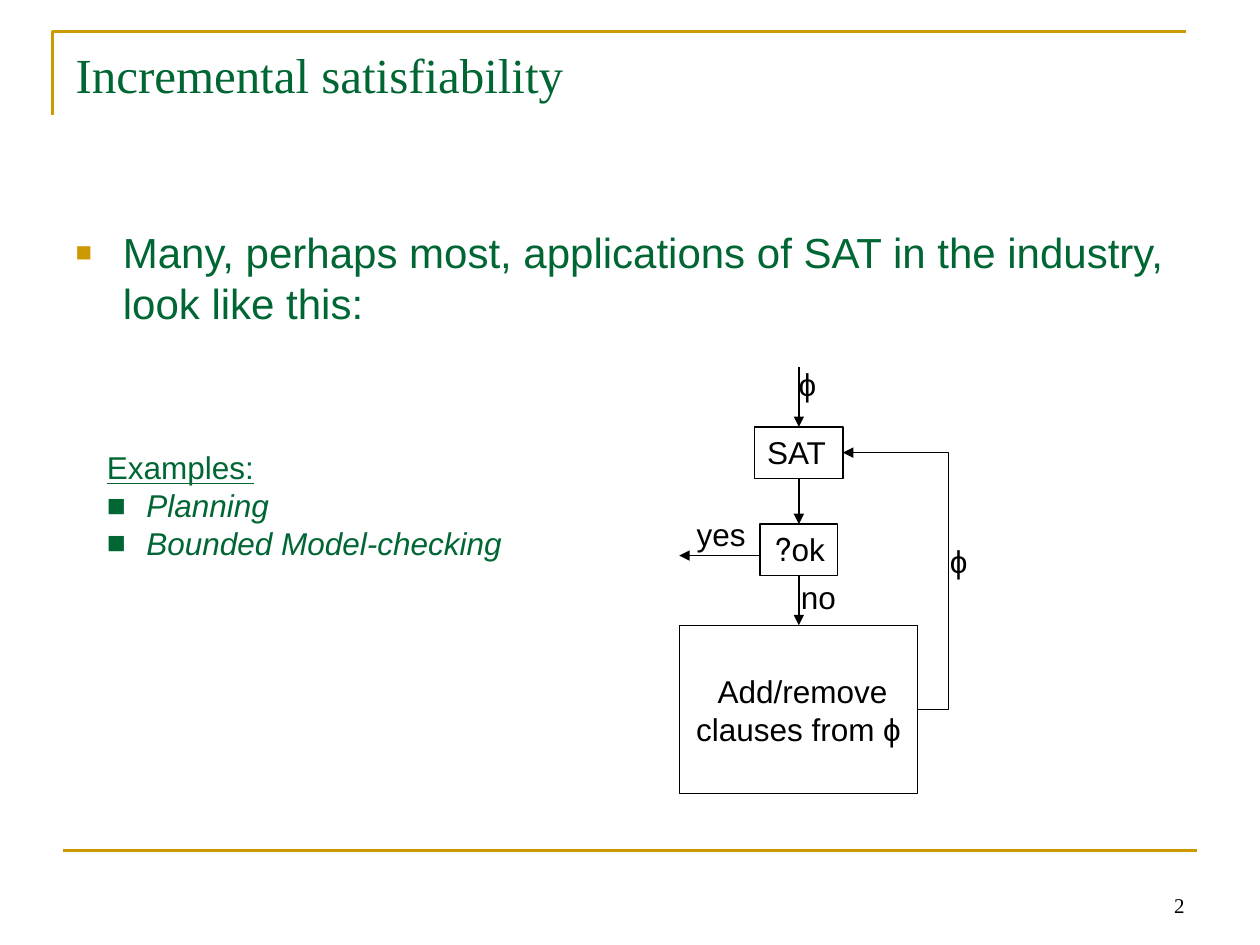
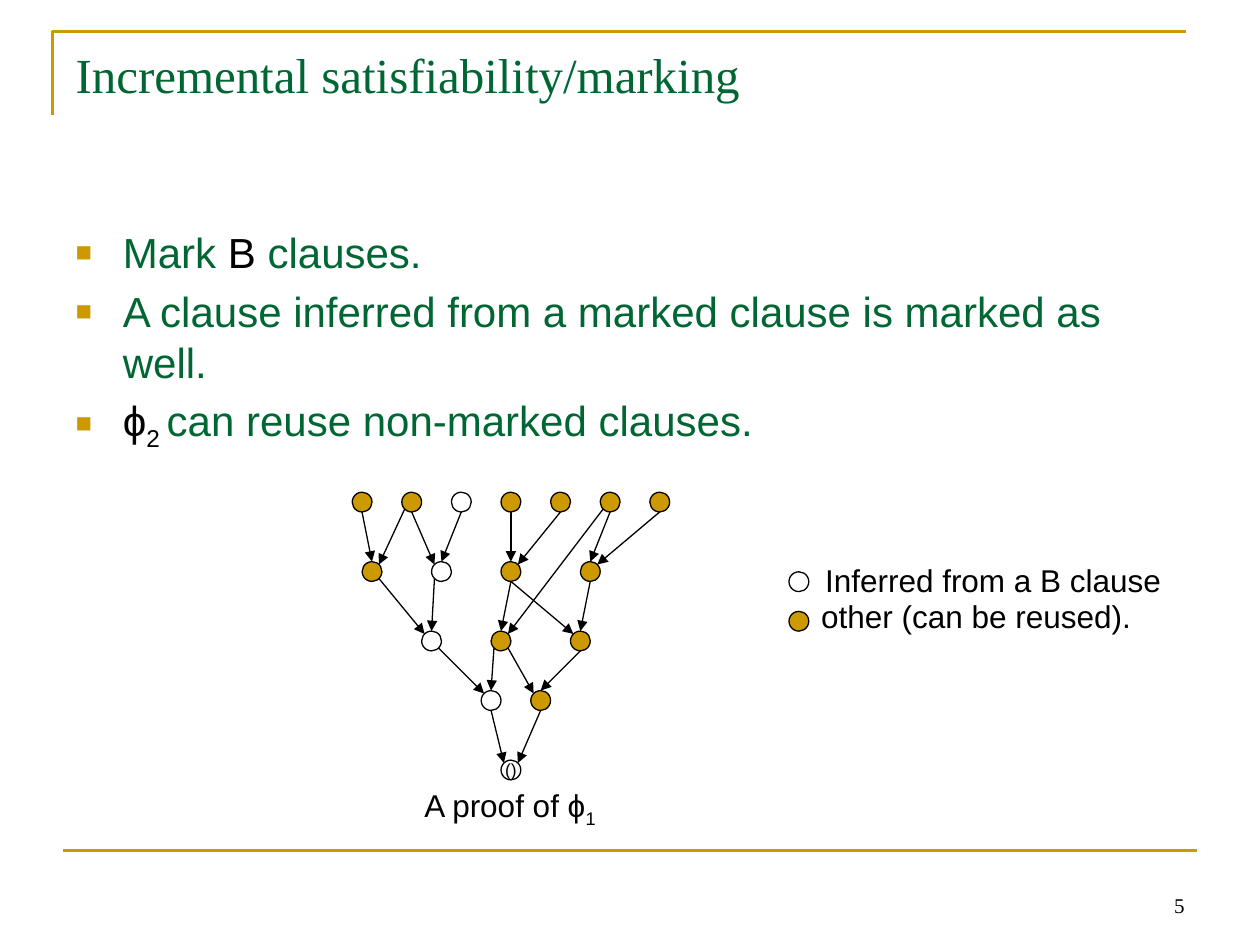
from lxml import etree
from pptx import Presentation
from pptx import util as u
from pptx.dml import color
from pptx.enum import shapes, text
from pptx.oxml import ns

Pt = u.Pt
COLORS = {"gold": "CC9900", "green": "006633", "black": "000000"}
BLACK = {"color": "black"}

# ---- Content: a paragraph is a list of runs, a run is text or (text, format)
SAT_USE = {
    "title": "Incremental satisfiability", "number": "2",
    "bullets": [["Many, perhaps most, applications of SAT in the industry, look like this:"]],
}
MARKING = {
    "title": "Incremental satisfiability/marking", "number": "5",
    "bullets": [
        ["Mark ", ("B", BLACK), " clauses."],
        ["A clause inferred from a marked clause is marked as well."],
        [("ϕ", BLACK), ("2 ", {"color": "black", "base": -25}), "can reuse non-marked clauses."],
    ],
}
EXAMPLES = ["Planning", "Bounded Model-checking"]

# Flow chart: left, top, width, height
FLOW_X = 456.5
SAT_BOX = (431.3, 244, 50.4, 29.3)
OK_BOX = (434.2, 299.5, 44.2, 29.3)
UPDATE_BOX = (388.2, 357.3, 136.2, 96.3)
FLOW_LABELS = [("ϕ", 449.3, 205.2, 25), ("yes", 391, 290.5, 42.5),
               ("no", 450.5, 326.5, 34.6), ("ϕ", 535.7, 306, 25)]

# Proof graph: grid row, then grid columns of its clauses
GRID_LEFT, GRID_TOP, GRID_STEP = 206.9, 286.9, 5.67
NODE_SIZE = 11.3
PROOF_ROWS = [(0, range(0, 31, 5)), (7, (1, 8, 15, 23)), (14, (7, 14, 22)),
              (20, (13, 18)), (27, (15,))]
MARKED = {(0, 2), (1, 1), (2, 0), (3, 0), (4, 0)}
# (row, index) and side where the inference leaves, then where it arrives
INFERENCES = [
    ((0, 0), "b", (1, 0), "t"), ((0, 1), "bl", (1, 0), "tr"),
    ((0, 1), "b", (1, 1), "tl"), ((0, 2), "b", (1, 1), "t"),
    ((0, 3), "b", (1, 2), "t"), ((0, 4), "b", (1, 2), "tr"),
    ((0, 5), "b", (1, 3), "t"), ((0, 6), "b", (1, 3), "tr"),
    ((1, 0), "br", (2, 0), "tl"), ((1, 1), "bl", (2, 0), "t"),
    ((1, 2), "b", (2, 1), "t"), ((0, 5), "bl", (2, 1), "tr"),
    ((1, 2), "b", (2, 2), "tl"), ((1, 3), "b", (2, 2), "t"),
    ((2, 0), "br", (3, 0), "tl"), ((2, 1), "bl", (3, 0), "t"),
    ((2, 1), "br", (3, 1), "tl"), ((2, 2), "b", (3, 1), "t"),
    ((3, 0), "b", (4, 0), "tl"), ((3, 1), "b", (4, 0), "tr"),
]
LEGEND = [("Inferred from a B clause", 464.4, 316.8, 206.6, 332.4, True),
          ("other (can be reused).", 462.2, 337.7, 191.5, 355, False)]


# ---- Helpers
def rgb(name):
    return color.RGBColor.from_string(COLORS[name])


def child(parent, tag, **attributes):
    return etree.SubElement(parent, ns.qn(tag), attributes)


def write(frame, paragraphs, size=18, font="Arial", color="black", align="LEFT",
          anchor="TOP", wrap=False, grow=False, rtl=False, before=0,
          bullet=None, indent=0, underline=False, italic=False, append=False):
    frame.word_wrap = wrap
    frame.vertical_anchor = text.MSO_ANCHOR[anchor]
    frame.auto_size = text.MSO_AUTO_SIZE["SHAPE_TO_FIT_TEXT" if grow else "NONE"]
    for number, runs in enumerate(paragraphs):
        new = append or number
        paragraph = frame.add_paragraph() if new else frame.paragraphs[0]
        paragraph.alignment = text.PP_ALIGN[align]
        paragraph.space_before = Pt(before)
        properties = paragraph._p.get_or_add_pPr()
        if rtl:
            properties.set("rtl", "1")
        if bullet:
            bullet_color, percent = bullet
            properties.set("marL", str(Pt(indent)))
            properties.set("indent", str(-Pt(indent)))
            child(child(properties, "a:buClr"), "a:srgbClr", val=COLORS[bullet_color])
            child(properties, "a:buSzPct", val=str(percent * 1000))
            child(properties, "a:buFont", typeface="Arial")
            child(properties, "a:buChar", char="■")
        for item in runs:
            words, special = (item, {}) if isinstance(item, str) else item
            run = paragraph.add_run()
            run.text = words
            run.font.size, run.font.name = Pt(size), font
            run.font.underline, run.font.italic = underline, italic
            run.font.color.rgb = rgb(special.get("color", color))
            if "base" in special:
                run.font._element.set("baseline", str(special["base"] * 1000))


def place(shape, left, top, width, height):
    shape.left, shape.top, shape.width, shape.height = map(Pt, (left, top, width, height))


def label(slide, paragraphs, left, top, width, height=29, **style):
    box = slide.shapes.add_textbox(*map(Pt, (left, top, width, height)))
    write(box.text_frame, paragraphs, **style)
    return box


def outline(slide, kind, box, fill=None):
    shape = slide.shapes.add_shape(shapes.MSO_SHAPE[kind], *map(Pt, box))
    shape.shadow.inherit = False
    if fill:
        shape.fill.solid()
        shape.fill.fore_color.rgb = rgb(fill)
    else:
        shape.fill.background()
    shape.line.color.rgb, shape.line.width = rgb("black"), Pt(0.75)
    return shape


def connect(slide, start, end, line="black", width=0.75, arrow=True, bend=None):
    kind = shapes.MSO_CONNECTOR.STRAIGHT if bend is None else shapes.MSO_CONNECTOR.ELBOW
    link = slide.shapes.add_connector(kind, *map(Pt, (*start, *end)))
    link.line.color.rgb, link.line.width = rgb(line), Pt(width)
    if arrow:
        child(link.line._get_or_add_ln(), "a:tailEnd", type="triangle")
    child(link.element.spPr, "a:effectLst")
    if bend is not None:
        adjustments = next(link.element.iter(ns.qn("a:avLst")))
        child(adjustments, "a:gd", name="adj1", fmla=f"val {bend}")
    return link


# ---- Shared parts
def add_frame_to_master(slide, master):
    builder = slide.shapes.build_freeform(Pt(30), Pt(66), scale=1.0)
    builder.add_line_segments([(Pt(30), Pt(18)), (Pt(678), Pt(18))], close=False)
    corner = builder.convert_to_shape()
    corner.shadow.inherit = False
    corner.fill.background()
    corner.line.color.rgb, corner.line.width = rgb("gold"), Pt(1.5)
    footer_rule = connect(slide, (36, 486), (684, 486), "gold", 1.5, arrow=False)
    for part in (corner, footer_rule):
        master.shapes.element.append(part.element)


def add_slide(deck, content):
    slide = deck.slides.add_slide(deck.slide_layouts[1])
    title, body = slide.placeholders
    place(title, 36, 21.6, 648, 111.6)
    write(title.text_frame, [[content["title"]]], size=28, font="Times New Roman",
          color="green", wrap=True)
    place(body, 36, 126, 648, 356.4)
    write(body.text_frame, content["bullets"], size=24, color="green", wrap=True,
          before=4.8, bullet=("gold", 65), indent=27)
    label(slide, [[content["number"]]], 516.2, 491.8, 167.8, 36, size=12,
          font="Times New Roman", align="RIGHT", anchor="BOTTOM", wrap=True)
    return slide


# ---- Flow chart of a SAT application
def draw_flow(slide):
    for box, lines, style in (
            (SAT_BOX, [["SAT"]], {"grow": True}),
            (OK_BOX, [["ok?"]], {"grow": True, "rtl": True, "align": "RIGHT"}),
            (UPDATE_BOX, [["Add/remove "], ["clauses from ϕ"]],
             {"rtl": True, "align": "CENTER", "anchor": "MIDDLE"})):
        write(outline(slide, "RECTANGLE", box).text_frame, lines, **style)

    above = 209.5
    for _, top, _, height in (SAT_BOX, OK_BOX, UPDATE_BOX):
        connect(slide, (FLOW_X, above), (FLOW_X, top))
        above = top + height
    connect(slide, (OK_BOX[0], 317.5), (UPDATE_BOX[0], 317.5))
    left, top, width, height = UPDATE_BOX
    connect(slide, (left + width, top + height / 2),
            (SAT_BOX[0] + SAT_BOX[2], SAT_BOX[1] + SAT_BOX[3] / 2), bend=-41700)
    for words, left, top, width in FLOW_LABELS:
        label(slide, [[words]], left, top, width, grow=True)

    examples = label(slide, [["Examples:"]], 54, 252.7, 242, 72.7, color="green",
                     underline=True, grow=True)
    write(examples.text_frame, [[name] for name in EXAMPLES], color="green", italic=True,
          bullet=("green", 100), indent=22.5, grow=True, append=True)


# ---- Proof graph with marked clauses
def draw_clause(slide, x, y, marked):
    box = (x - NODE_SIZE / 2, y - NODE_SIZE / 2, NODE_SIZE, NODE_SIZE)
    return outline(slide, "OVAL", box, None if marked else "gold")


def rim(center, side):
    reach = NODE_SIZE / 2 * (0.707 if len(side) == 2 else 1)
    x, y = center
    return (x + reach * (("r" in side) - ("l" in side)),
            y + reach * (("b" in side) - ("t" in side)))


def draw_proof(slide):
    centers = {(row, i): (GRID_LEFT + column * GRID_STEP, GRID_TOP + level * GRID_STEP)
               for row, (level, columns) in enumerate(PROOF_ROWS)
               for i, column in enumerate(columns)}
    for key, center in centers.items():
        clause = draw_clause(slide, *center, key in MARKED)
    # The last clause is the empty one
    write(clause.text_frame, [["()"]], size=10, align="CENTER", anchor="MIDDLE")
    for source, leave, target, arrive in INFERENCES:
        connect(slide, rim(centers[source], leave), rim(centers[target], arrive))

    for words, left, top, width, dot_y, marked in LEGEND:
        draw_clause(slide, 456.5, dot_y, marked)
        label(slide, [[words]], left, top, width, grow=True)
    label(slide, [["A proof of ϕ", ("1", {"base": -25})]], 235.4, 445.7, 115.2, grow=True)


def main():
    deck = Presentation()
    deck.slide_width, deck.slide_height = Pt(720), Pt(540)
    sat_use = add_slide(deck, SAT_USE)
    add_frame_to_master(sat_use, deck.slide_master)
    draw_flow(sat_use)
    draw_proof(add_slide(deck, MARKING))
    deck.save("out.pptx")


if __name__ == "__main__":
    main()
